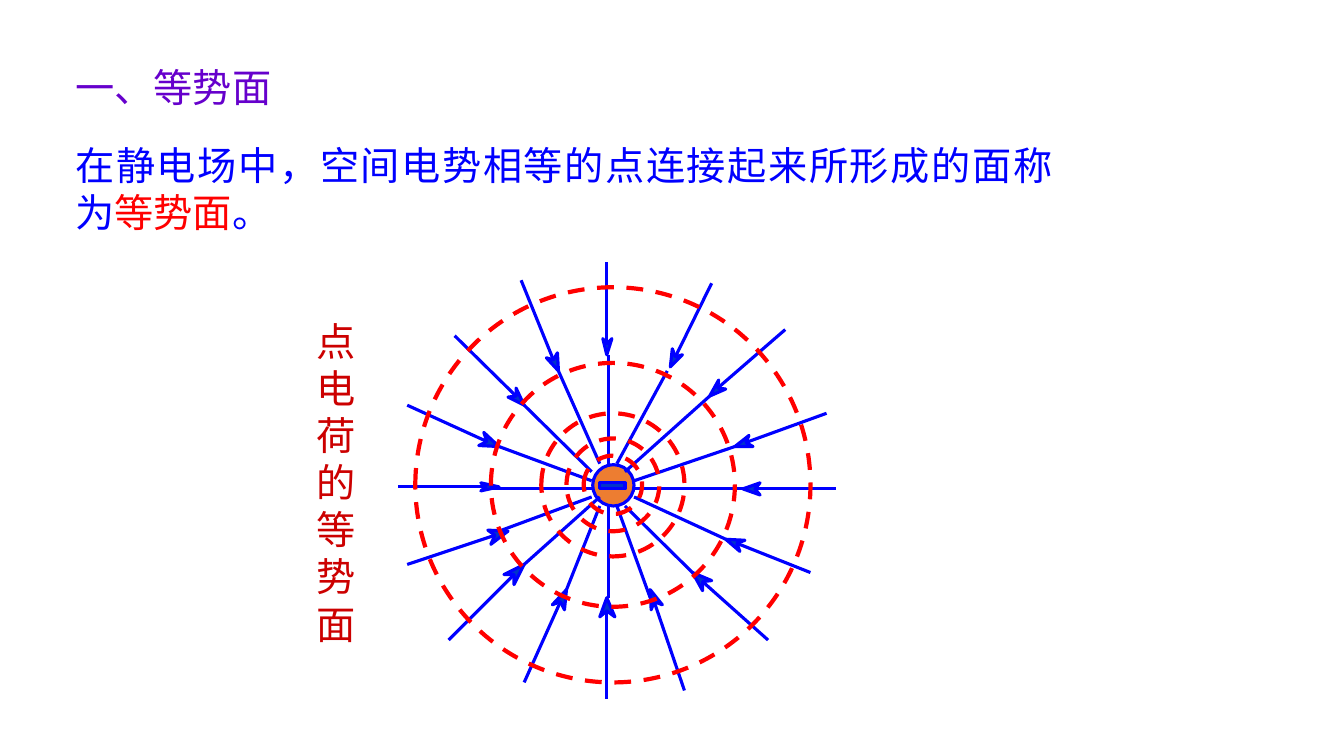
"""Slide on equipotential surfaces: definition and the field of a negative point charge."""
from lxml import etree
from pptx import Presentation
from pptx import util as u
from pptx.dml.color import RGBColor
from pptx.enum import dml, shapes, text

BLUE = RGBColor(0x00, 0x00, 0xFF)
DEEP_BLUE = RGBColor(0x00, 0x33, 0xCC)
RED = RGBColor(0xFF, 0x00, 0x00)
DARK_RED = RGBColor(0xCC, 0x00, 0x00)
PURPLE = RGBColor(0x66, 0x00, 0xCC)
ORANGE = RGBColor(0xED, 0x7D, 0x31)
INCH = 2.54
DRAWINGML = "http://schemas.openxmlformats.org/drawingml/2006/main"

deck = Presentation()
deck.slide_width, deck.slide_height = u.Cm(13.333 * INCH), u.Cm(7.5 * INCH)
slide = deck.slides.add_slide(deck.slide_layouts[6])


def put_text(runs, box, align=None, size=28, font="Times New Roman"):
    frame = slide.shapes.add_textbox(*[u.Cm(v * INCH) for v in box]).text_frame
    frame.word_wrap = True
    frame.auto_size = text.MSO_AUTO_SIZE.SHAPE_TO_FIT_TEXT
    paragraph = frame.paragraphs[0]
    paragraph.alignment = align
    for wording, color in runs:
        run = paragraph.add_run()
        run.text = wording
        run.font.size, run.font.name = u.Pt(size), font
        run.font.color.rgb = color


def put_line(group, start, end):
    segment = group.shapes.add_connector(
        shapes.MSO_CONNECTOR.STRAIGHT, *[u.Cm(v * INCH) for v in start + end])
    segment.line.color.rgb, segment.line.width = BLUE, u.Pt(2.25)
    etree.SubElement(segment._element.spPr, f"{{{DRAWINGML}}}effectLst")


JUSTIFY = text.PP_ALIGN.JUSTIFY
put_text([("在静电场中，空间电势相等的点连接起来所形成的面称为", BLUE),
          ("等势面", RED), ("。", BLUE)], (0.65, 1.35, 9.89, 1.04), JUSTIFY)
put_text([("一、等势面", PURPLE)], (0.65, 0.58, 5.99, 0.57), JUSTIFY)

# tail, notch, wing, tip, wing, inner start, inner end
field_lines = [
    ((3.95, 4.83), (4.82, 4.83), (4.77, 4.87), (4.95, 4.83), (4.77, 4.79), (4.87, 4.85), (5.87, 4.85)),
    ((4.04, 4.02), (4.83, 4.38), (4.75, 4.42), (4.95, 4.43), (4.80, 4.29), (4.95, 4.43), (5.87, 4.77)),
    ((4.51, 3.33), (5.12, 3.93), (5.04, 3.94), (5.20, 4.02), (5.12, 3.85), (5.20, 4.02), (5.87, 4.68)),
    ((5.20, 6.77), (5.56, 5.97), (5.60, 6.05), (5.62, 5.85), (5.48, 6.00), (5.62, 5.85), (5.95, 5.02)),
    ((4.04, 5.60), (4.91, 5.31), (4.87, 5.40), (5.04, 5.27), (4.84, 5.26), (4.95, 5.27), (5.87, 4.93)),
    ((4.45, 6.35), (5.10, 5.70), (5.10, 5.80), (5.20, 5.60), (5.00, 5.70), (5.20, 5.60), (5.95, 4.93)),
    ((6.02, 6.93), (6.02, 6.06), (6.10, 6.12), (6.02, 5.93), (5.95, 6.12), (6.04, 5.93), (6.04, 5.02)),
    ((5.17, 2.78), (5.49, 3.57), (5.42, 3.55), (5.54, 3.68), (5.53, 3.50), (5.54, 3.68), (5.95, 4.60)),
    ((8.29, 4.85), (7.49, 4.85), (7.54, 4.79), (7.37, 4.85), (7.54, 4.91), (7.37, 4.85), (6.29, 4.85)),
    ((7.62, 6.35), (6.97, 5.77), (7.06, 5.76), (6.87, 5.68), (6.97, 5.86), (6.87, 5.68), (6.20, 5.02)),
    ((6.02, 2.60), (6.02, 3.41), (5.98, 3.36), (6.02, 3.52), (6.07, 3.36), (6.04, 3.52), (6.04, 4.60)),
    ((7.79, 3.27), (7.12, 3.85), (7.13, 3.77), (7.04, 3.93), (7.20, 3.86), (7.04, 3.93), (6.20, 4.68)),
    ((8.20, 4.10), (7.40, 4.39), (7.43, 4.32), (7.29, 4.43), (7.47, 4.43), (7.29, 4.43), (6.29, 4.77)),
    ((6.79, 6.85), (6.49, 5.97), (6.57, 6.00), (6.45, 5.85), (6.46, 6.05), (6.45, 5.93), (6.12, 5.02)),
    ((8.04, 5.68), (7.31, 5.39), (7.39, 5.36), (7.20, 5.35), (7.34, 5.47), (7.20, 5.35), (6.29, 4.93)),
    ((7.06, 2.81), (6.70, 3.54), (6.67, 3.46), (6.65, 3.64), (6.77, 3.52), (6.62, 3.68), (6.12, 4.60)),
]

field = slide.shapes.add_group_shape()
for tail, notch, wing, tip, other_wing, _, _ in field_lines:
    put_line(field, notch, tail)
    corners = [(u.Cm(x * INCH), u.Cm(y * INCH)) for x, y in (wing, tip, other_wing, notch)]
    outline = field.shapes.build_freeform(*corners[0])
    outline.add_line_segments(corners[1:], close=True)
    arrowhead = outline.convert_to_shape()
    arrowhead.shadow.inherit = False
    arrowhead.fill.solid()
    arrowhead.fill.fore_color.rgb = DEEP_BLUE
    arrowhead.line.color.rgb, arrowhead.line.width = BLUE, u.Pt(2.25)

for preset, box, color in [
        (shapes.MSO_SHAPE.OVAL, (5.88, 4.61, 0.41, 0.41), ORANGE),
        (shapes.MSO_SHAPE.RECTANGLE, (5.95, 4.79, 0.25, 0.06), DEEP_BLUE)]:
    charge_part = field.shapes.add_shape(preset, *[u.Cm(v * INCH) for v in box])
    charge_part.shadow.inherit = False
    charge_part.fill.solid()
    charge_part.fill.fore_color.rgb = color
    charge_part.line.color.rgb, charge_part.line.width = BLUE, u.Pt(2.25)

for *_, inner_start, inner_end in field_lines:
    put_line(field, inner_start, inner_end)

center_x, center_y = 6.08, 4.81
surfaces = slide.shapes.add_group_shape()
for diameter in (2.42, 1.42, 0.92, 0.58, 3.92):
    box = (center_x - diameter / 2, center_y - diameter / 2, diameter, diameter)
    surface = surfaces.shapes.add_shape(
        shapes.MSO_SHAPE.OVAL, *[u.Cm(v * INCH) for v in box])
    surface.shadow.inherit = False
    surface.fill.background()
    surface.line.color.rgb, surface.line.width = RED, u.Pt(3)
    surface.line.dash_style = dml.MSO_LINE.DASH

put_text([("点电荷的等势面", DARK_RED)], (3.04, 3.1, 0.67, 3.4))

deck.save("out.pptx")
